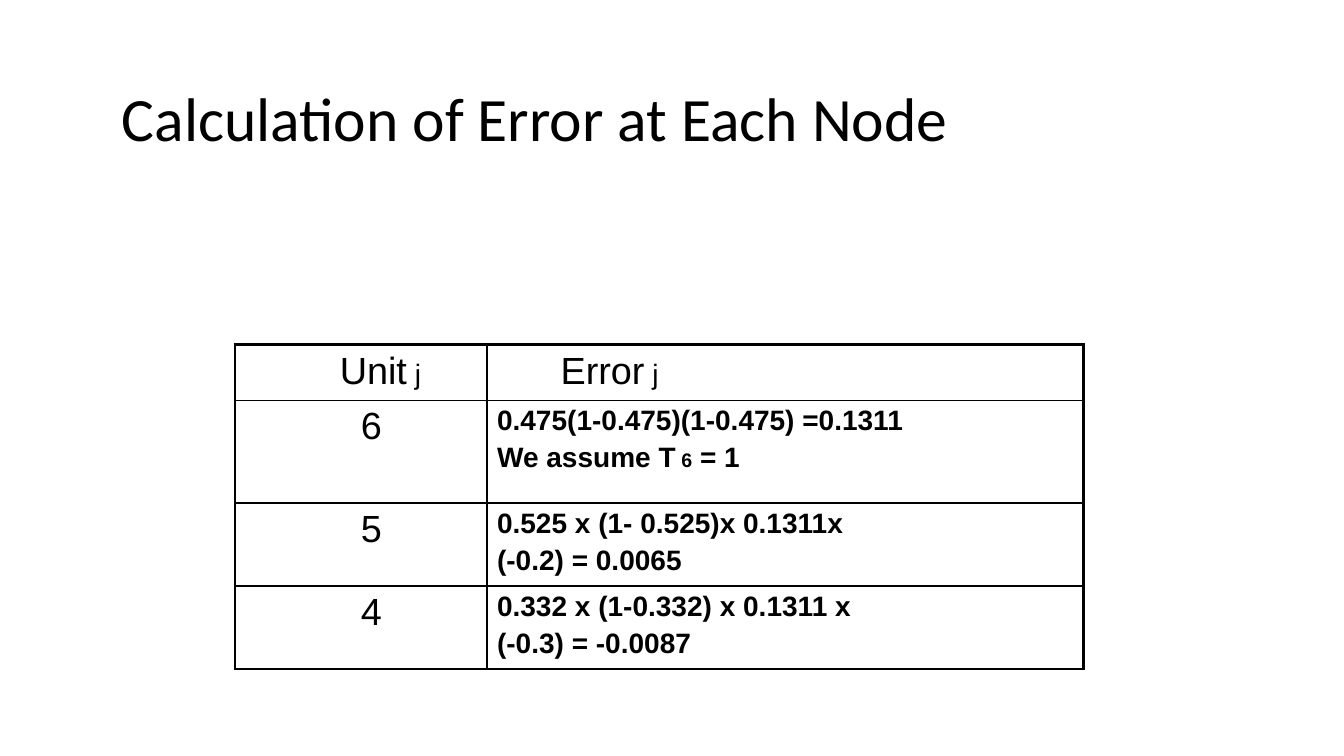
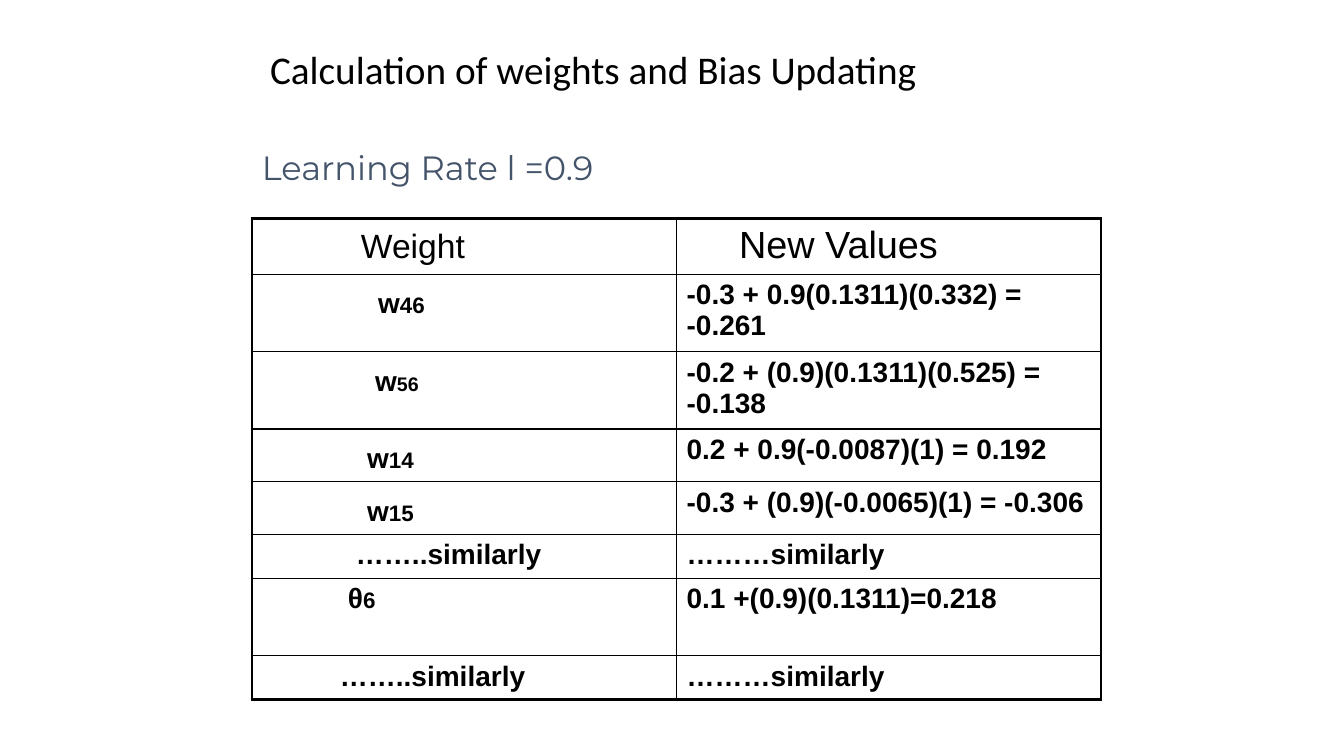
from dataclasses import dataclass

from lxml import etree
from pptx import Presentation
from pptx.dml.color import RGBColor
from pptx.enum.text import MSO_ANCHOR
from pptx.oxml.ns import qn
from pptx.util import Inches, Pt

TOP, MIDDLE, BOTTOM = MSO_ANCHOR.TOP, MSO_ANCHOR.MIDDLE, MSO_ANCHOR.BOTTOM


@dataclass(frozen=True)
class Theme:
    """Colours, fonts, type sizes and line widths of the deck."""
    ink: str = "000000"
    slate: str = "44546A"
    head: str = "Calibri"
    body: str = "Arial"
    note: str = "Montserrat"
    title: int = 44
    label: int = 28
    large: int = 27
    mid: int = 24
    text: int = 20
    sub: int = 16
    small: int = 14
    thick: float = 2.25
    thin: float = 1


T = Theme()
WIDE = 8.42


def style(item, values):
    """Set each attribute of an item from a dict."""
    for name, value in values.items():
        setattr(item, name, value)


def write(para, runs, font, ink, bold=False):
    """Add runs of (text, size) to a paragraph."""
    for text, size in runs:
        run = para.add_run()
        run.text = text
        style(run.font, {"name": font, "size": Pt(size), "bold": bold})
        run.font.color.rgb = RGBColor.from_string(ink)


def label(slide, box, text, size, font=T.head, ink=T.ink, anchor=MIDDLE, pitch=0.9):
    """Place one line of text in a box."""
    frame = slide.shapes.add_textbox(*map(Inches, box)).text_frame
    style(frame, {"word_wrap": True, "vertical_anchor": anchor})
    para = frame.paragraphs[0]
    para.line_spacing = pitch
    write(para, [(text, size)], font, ink)


def edge(cell, side, width):
    """Draw one border of a cell."""
    props = cell._tc.get_or_add_tcPr()
    line = etree.SubElement(props, qn(f"a:ln{side}"), w=str(Pt(width)))
    fill = etree.SubElement(line, qn("a:solidFill"))
    etree.SubElement(fill, qn("a:srgbClr"), val=T.ink)


def entry(*lines, left=0, drop=0, bold=True):
    """Describe a cell: its lines, indent, extra top margin and weight."""
    return lines, left, drop, bold


def plain(*texts):
    """Describe a bold cell with one run on each line."""
    return entry(*([(text, T.text)] for text in texts))


def fill_cell(cell, lines, left, drop, bold):
    """Write the lines of one cell."""
    style(cell, {"margin_left": Inches(0.1), "margin_right": Inches(0.1),
                 "margin_top": Inches(0.05 + drop), "margin_bottom": Inches(0.05),
                 "vertical_anchor": TOP})
    frame = cell.text_frame
    for index, runs in enumerate(lines):
        para = frame.add_paragraph() if index else frame.paragraphs[0]
        props = para._p.get_or_add_pPr()
        props.set("marL", str(Inches(left)))
        props.set("indent", "0")
        if index:
            para.space_before = Pt(4)
        write(para, runs, T.body, T.ink, bold)


def grid(slide, spot, cols, highs, rows):
    """Place a ruled table with a thick outer frame."""
    size = (sum(cols), sum(highs))
    table = slide.shapes.add_table(len(rows), len(cols), *map(Inches, spot + size)).table
    style(table, {"first_row": False, "horz_banding": False})
    for col, width in zip(table.columns, cols):
        col.width = Inches(width)
    last, end = len(rows) - 1, len(cols) - 1
    for r, row in enumerate(rows):
        table.rows[r].height = Inches(highs[r])
        for c, part in enumerate(row):
            cell = table.cell(r, c)
            outer = {"L": c == 0, "R": c == end, "T": r == 0, "B": r == last}
            for side, rim in outer.items():
                edge(cell, side, T.thick if rim else T.thin)
            cell.fill.background()
            fill_cell(cell, *part)


def errors(slide):
    """Build the slide on the error at each node."""
    def unit(name):
        return entry([(name, T.large)], left=1.15, bold=False)

    def head(name, left):
        return entry([(name, T.large), (" j", T.text)], left=left, bold=False)

    label(slide, (1.11, 0.58, 11.22, 1.25), "Calculation of Error at Each Node", T.title)
    guess = [("We assume T", T.text), (" 6", T.small), (" = 1", T.text)]
    rows = [
        (head("Unit", 0.94), head("Error", 0.63)),
        (unit("6"), entry([("0.475(1-0.475)(1-0.475) =0.1311", T.text)], guess)),
        (unit("5"), plain("0.525 x (1- 0.525)x 0.1311x", "(-0.2) = 0.0065")),
        (unit("4"), plain("0.332 x (1-0.332) x 0.1311 x", "(-0.3) = -0.0087")),
    ]
    grid(slide, (2.33, 3.42), (2.5, 5.92), (0.52, 1.02, 0.77, 0.78), rows)


def weights(slide):
    """Build the slide on the new weights and bias."""
    def sign(name, index, left, size=T.sub, drop=0.09):
        return entry([(name, T.text), (index, size)], left=left, drop=drop)

    def more(left):
        return entry([("……..similarly", T.text)], left=left), plain("………similarly")

    label(slide, (2.58, 0.25, WIDE, 0.92), "Calculation of weights and Bias Updating", T.label)
    label(slide, (2.5, 1.08, WIDE, 0.83), "Learning Rate l =0.9", T.mid,
          T.note, T.slate, BOTTOM, 1.0)
    rows = [
        (entry([("Weight", T.mid)], left=0.98, drop=0.04, bold=False),
         entry([("New Values", T.large)], left=0.52, bold=False)),
        (sign("w", "46", 1.15), plain("-0.3 + 0.9(0.1311)(0.332) = -0.261")),
        (sign("w", "56", 1.12, T.small), plain("-0.2 + (0.9)(0.1311)(0.525) = -0.138")),
        (sign("w", "14", 1.04), plain("0.2 + 0.9(-0.0087)(1) = 0.192")),
        (sign("w", "15", 1.04), plain("-0.3 + (0.9)(-0.0065)(1) = -0.306")),
        more(0.93),
        (sign("θ", "6", 0.85, drop=0), plain("0.1 +(0.9)(0.1311)=0.218")),
        more(0.77),
    ]
    highs = (0.52, 0.73, 0.72, 0.52, 0.52, 0.41, 0.77, 0.41)
    grid(slide, (2.5, 2.17), (WIDE / 2, WIDE / 2), highs, rows)


def main():
    """Build and save the deck."""
    deck = Presentation()
    style(deck, {"slide_width": Inches(13.33), "slide_height": Inches(7.5)})
    for build in (errors, weights):
        build(deck.slides.add_slide(deck.slide_layouts[6]))
    deck.save("out.pptx")


if __name__ == "__main__":
    main()
